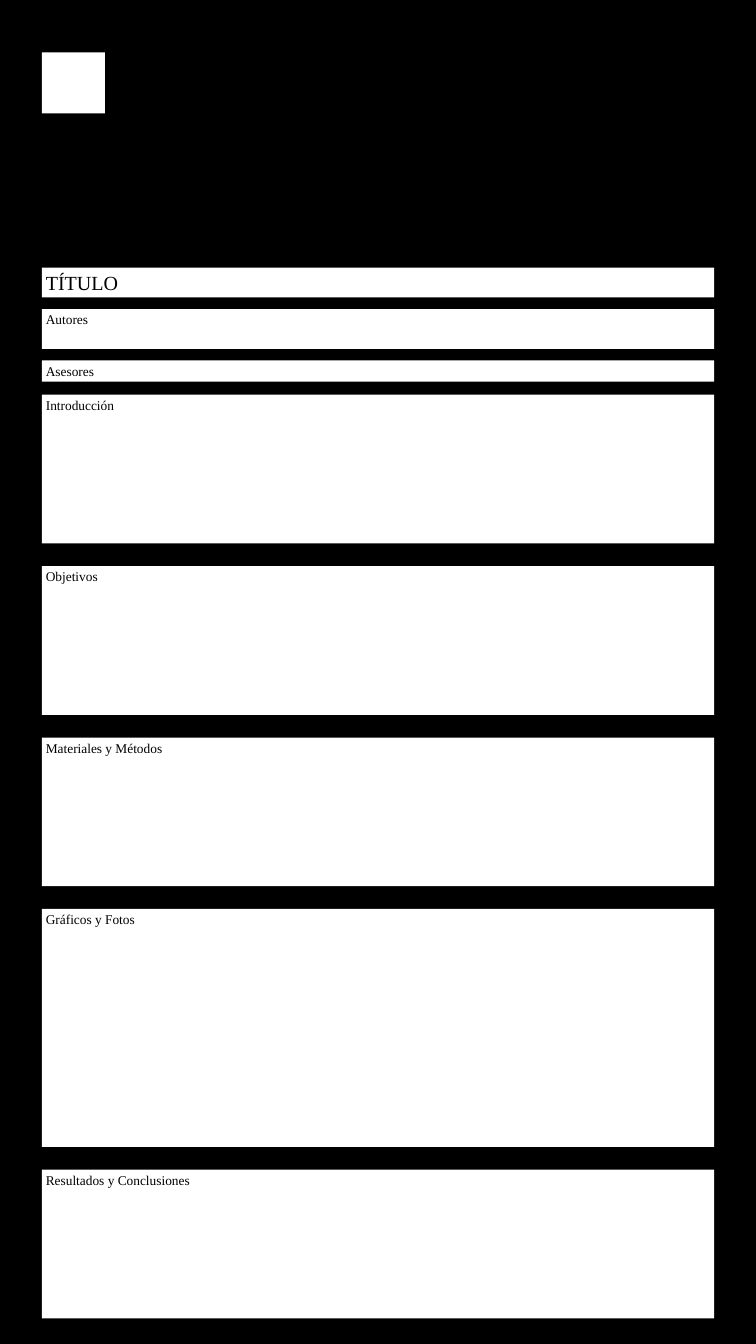
from pptx import Presentation
from pptx.dml.color import RGBColor
from pptx.enum.shapes import MSO_SHAPE
from pptx.enum.text import MSO_ANCHOR, PP_ALIGN
from pptx.util import Pt

RECTANGLE = MSO_SHAPE.RECTANGLE
TOP = MSO_ANCHOR.TOP
LEFT = PP_ALIGN.LEFT

EMU_PER_PX = 9144  # 100 px to the inch
PAGE_WIDTH, PAGE_HEIGHT = 1500, 2666
MARGIN, PANEL_WIDTH = 83, 1334
BLACK, WHITE = "000000", "FFFFFF"
FONT = "Times New Roman"

# Label, height, text size, space before
HEADINGS = [
    ("TÍTULO", 59, 28.6, 0),
    ("Autores", 79, 19.1, 2),
    ("Asesores", 42, 19.1, 2),
]
SECTIONS = [
    ("Introducción", 295, 19.1, 3.2),
    ("Objetivos", 295, 19.1, 3.2),
    ("Materiales y Métodos", 295, 19.1, 3.2),
    ("Gráficos y Fotos", 472, 19.1, 3.2),
    ("Resultados y Conclusiones", 295, 19.1, 3.2),
]


def px(length):
    return length * EMU_PER_PX


def color(code):
    return RGBColor.from_string(code)


def add_box(page, left, top, width, height):
    box = page.shapes.add_shape(
        RECTANGLE, px(left), px(top), px(width), px(height))
    box.shadow.inherit = False
    box.fill.solid()
    box.fill.fore_color.rgb = color(WHITE)
    box.line.fill.background()
    return box


def add_label(box, text, size, space_before):
    frame = box.text_frame
    frame.word_wrap = True
    frame.vertical_anchor = TOP
    frame.margin_left = frame.margin_right = px(8)
    frame.margin_top = frame.margin_bottom = px(5)
    para = frame.paragraphs[0]
    para.text = text
    para.alignment = LEFT
    para.space_before = Pt(space_before)
    para.font.name = FONT
    para.font.size = Pt(size)
    para.font.color.rgb = color(BLACK)


def add_stack(page, top, gap, panels):
    """Place labelled panels one below another with an equal gap."""
    for text, height, size, space_before in panels:
        box = add_box(page, MARGIN, top, PANEL_WIDTH, height)
        add_label(box, text, size, space_before)
        top += height + gap


def main():
    deck = Presentation()
    deck.slide_width, deck.slide_height = px(PAGE_WIDTH), px(PAGE_HEIGHT)
    page = deck.slides.add_slide(deck.slide_layouts[6])

    # Background
    page.background.fill.solid()
    page.background.fill.fore_color.rgb = color(BLACK)

    # Emblem space
    add_box(page, MARGIN, 104, 125, 121)

    # Title and credits, then the poster sections
    add_stack(page, 531, 23, HEADINGS)
    add_stack(page, 783, 45, SECTIONS)

    deck.save("out.pptx")


if __name__ == "__main__":
    main()
